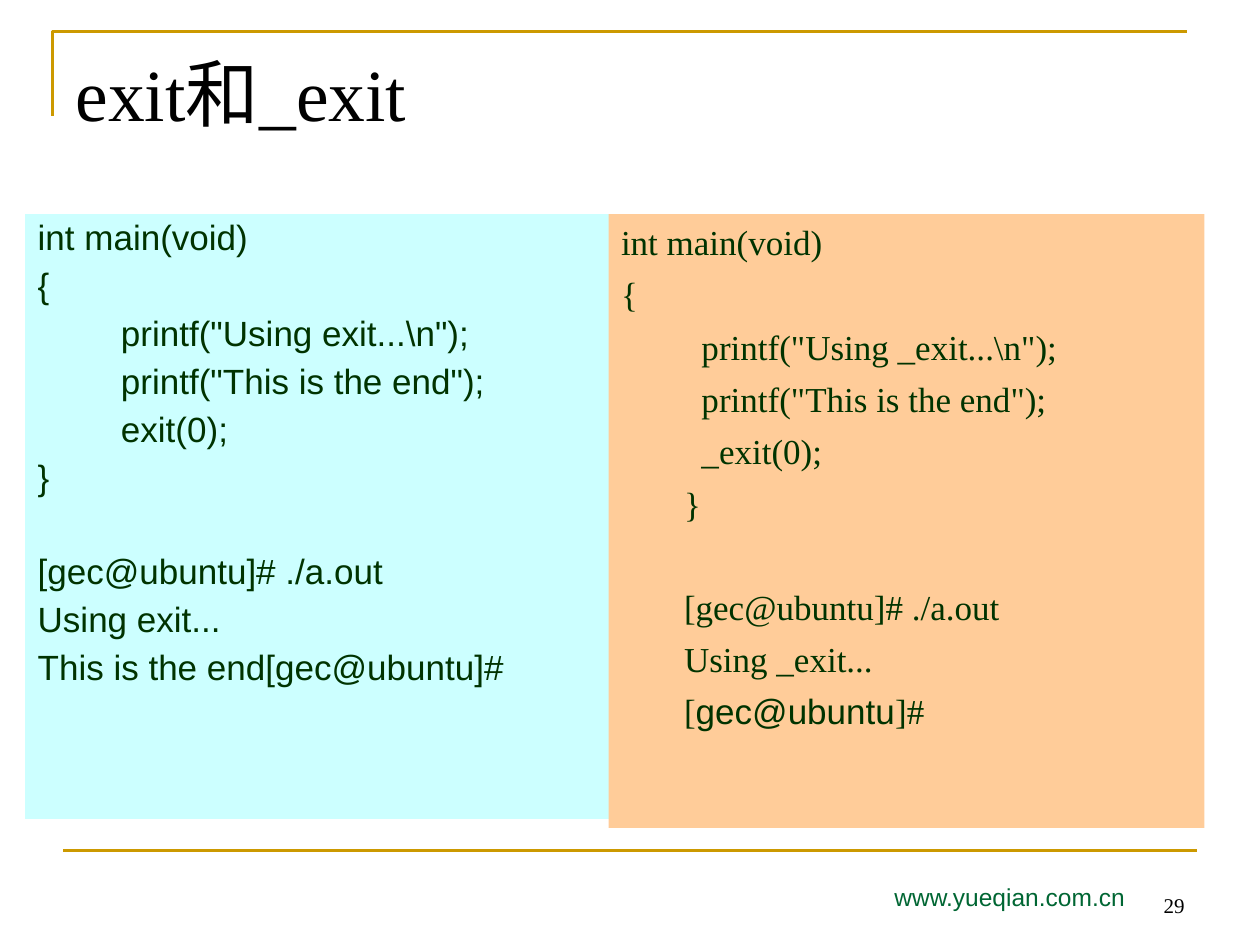
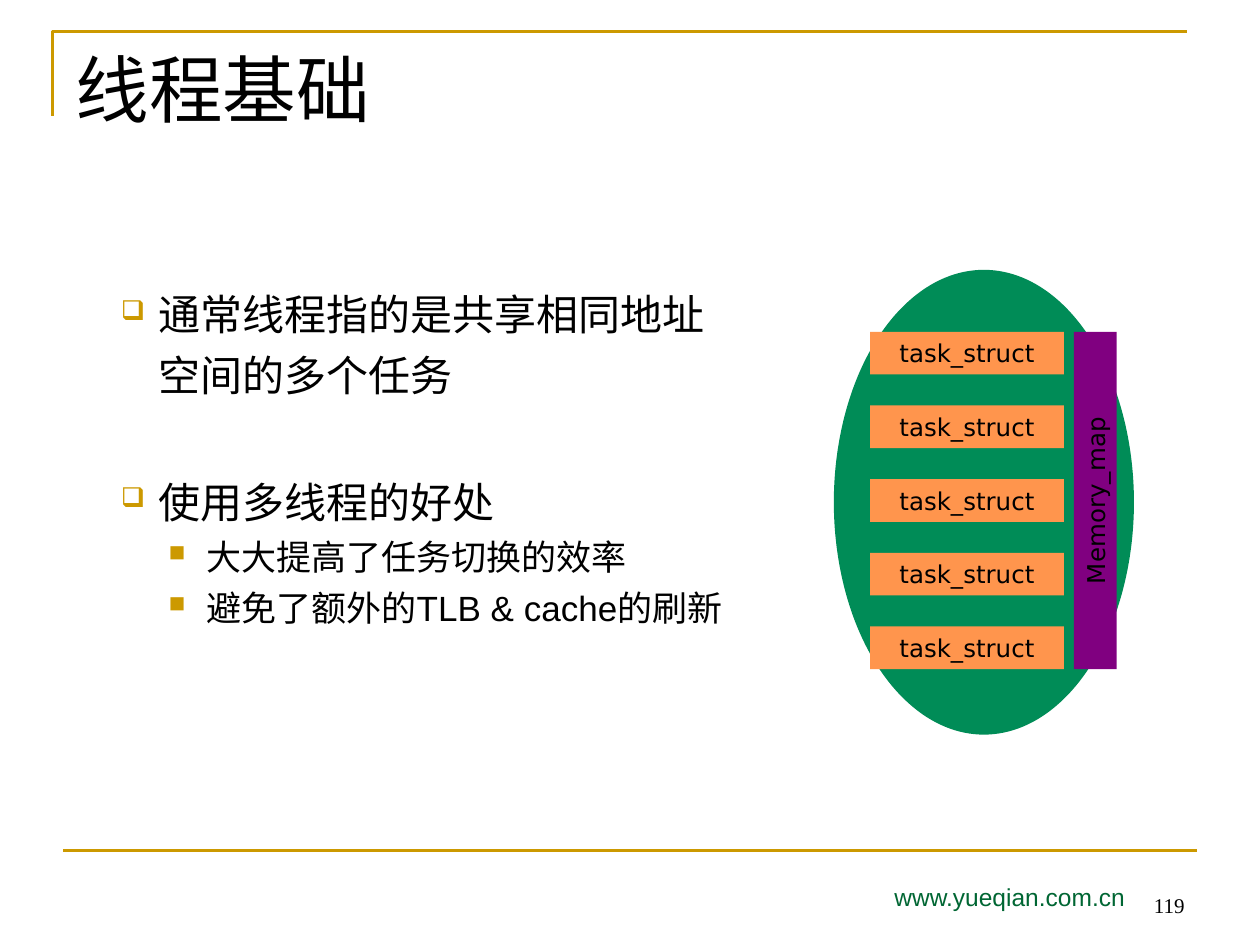
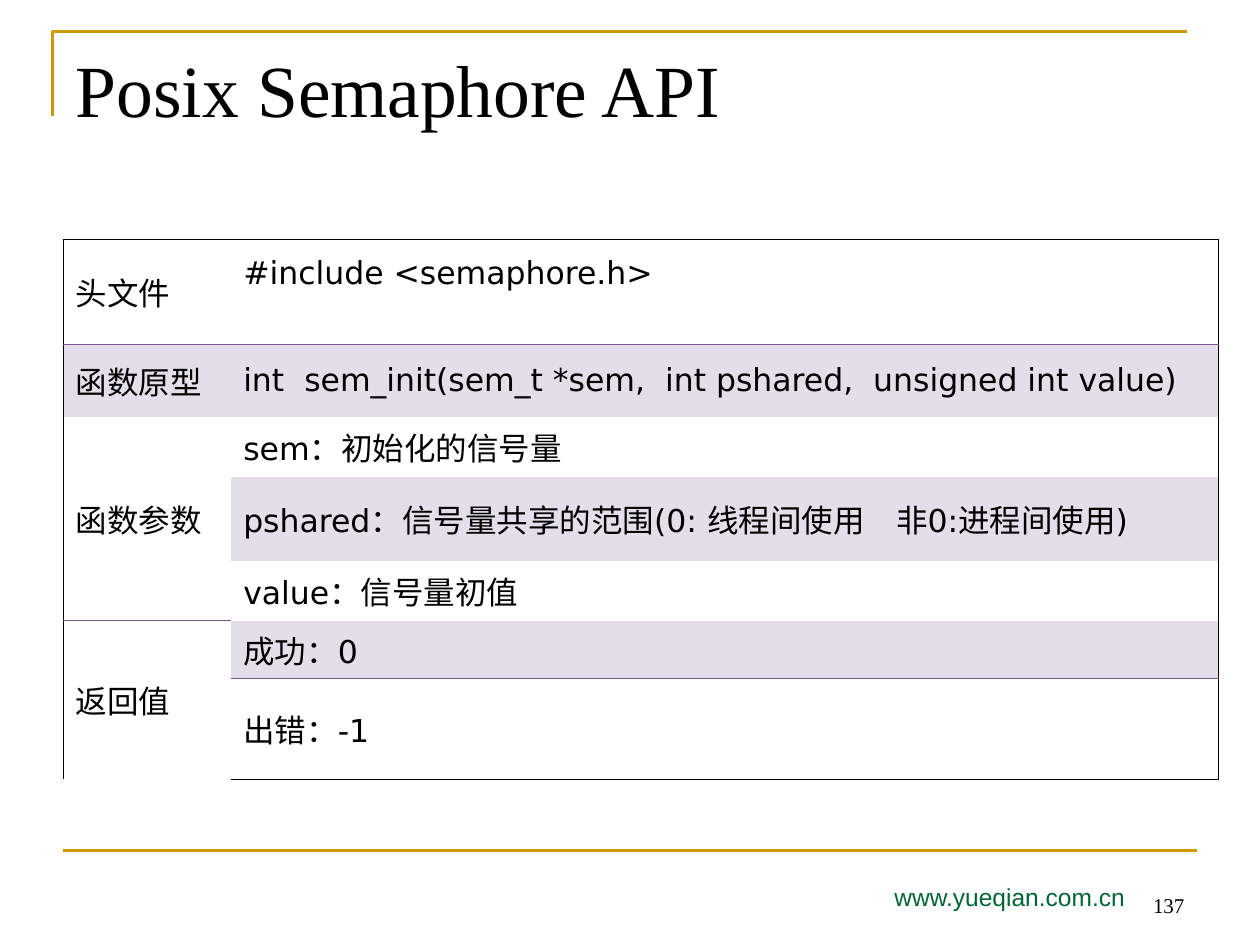
from dataclasses import dataclass

from lxml.etree import SubElement
from pptx import Presentation
from pptx.dml.color import RGBColor
from pptx.enum.shapes import MSO_CONNECTOR, MSO_SHAPE
from pptx.enum.text import MSO_ANCHOR, MSO_AUTO_SIZE, PP_ALIGN
from pptx.oxml.ns import qn
from pptx.util import Cm, Pt

GOLD, GREEN, BLACK, CODE = "CC9900", "006633", "000000", "003300"
CYAN, PEACH = "CCFFFF", "FFCC99"
OVAL, TASK, MEMORY = "008C57", "FF954D", "800080"
PURPLE, LILAC = "755992", "E3DEE9"
SERIF, SANS, WIDE = "Times New Roman", "Arial", "DejaVu Sans"
TITLE_ONLY = 5


@dataclass
class Box:
    """A rectangle in centimetres."""
    left: float
    top: float
    width: float
    height: float

    def lengths(self):
        """Return the four lengths for python-pptx."""
        return Cm(self.left), Cm(self.top), Cm(self.width), Cm(self.height)


@dataclass
class Line:
    """A paragraph: its text, left indent in cm and space before in points."""
    text: str
    indent: float = 0
    before: float = 0
    size: float = 20
    bullet: str = ""


def rgb(color):
    """Turn a hex string into a colour."""
    return RGBColor.from_string(color)


def style_runs(paragraph, size, font, color):
    """Format every run of a paragraph."""
    for run in paragraph.runs:
        run.font.size = Pt(size)
        run.font.name = font
        run.font.color.rgb = rgb(color)


def set_text(shape, text, size, font, color, align=PP_ALIGN.LEFT, anchor=MSO_ANCHOR.TOP):
    """Write one line of text in a shape."""
    frame = shape.text_frame
    frame.word_wrap = True
    frame.auto_size = MSO_AUTO_SIZE.NONE
    frame.vertical_anchor = anchor
    frame.text = text
    frame.paragraphs[0].alignment = align
    style_runs(frame.paragraphs[0], size, font, color)


def set_indent(paragraph, margin, first=0):
    """Set the left margin and first-line indent in centimetres."""
    properties = paragraph._p.get_or_add_pPr()
    properties.set("marL", str(Cm(margin)))
    properties.set("indent", str(Cm(first)))


def add_bullet(paragraph, symbol):
    """Give a paragraph a gold bullet at 65 percent size."""
    properties = paragraph._p.get_or_add_pPr()
    SubElement(SubElement(properties, qn("a:buClr")), qn("a:srgbClr"), val=GOLD)
    SubElement(properties, qn("a:buSzPct"), val="65000")
    SubElement(properties, qn("a:buChar"), char=symbol)


def add_lines(frame, lines, font, color, spacing=None):
    """Write a list of lines as paragraphs."""
    frame.word_wrap = True
    frame.vertical_anchor = MSO_ANCHOR.TOP
    frame.text = "\n".join(line.text for line in lines)
    for paragraph, line in zip(frame.paragraphs, lines):
        set_indent(paragraph, line.indent, -0.76 if line.bullet else 0)
        paragraph.alignment = PP_ALIGN.LEFT
        paragraph.line_spacing = spacing
        if line.before:
            paragraph.space_before = Pt(line.before)
        if line.bullet:
            add_bullet(paragraph, line.bullet)
        style_runs(paragraph, line.size, font, color)


def add_block(shapes, kind, box, fill):
    """Add a plain filled shape."""
    shape = shapes.add_shape(kind, *box.lengths())
    shape.shadow.inherit = False
    shape.fill.solid()
    shape.fill.fore_color.rgb = rgb(fill)
    shape.line.fill.background()
    return shape


def add_frame(slide):
    """Draw the gold corner and the gold rule above the footer."""
    builder = slide.shapes.build_freeform(Cm(1.06), Cm(2.33))
    builder.add_line_segments([(Cm(1.06), Cm(0.63)), (Cm(23.92), Cm(0.63))], close=False)
    corner = builder.convert_to_shape()
    corner.shadow.inherit = False
    corner.fill.background()
    rule = slide.shapes.add_connector(
        MSO_CONNECTOR.STRAIGHT, Cm(1.27), Cm(17.15), Cm(24.13), Cm(17.15))
    SubElement(rule._element.spPr, qn("a:effectLst"))
    for shape in (corner, rule):
        shape.line.color.rgb = rgb(GOLD)
        shape.line.width = Pt(1.5)


def add_footer(slide, number):
    """Write the web address and the page number."""
    address = slide.shapes.add_textbox(*Box(17.78, 17.65, 6.35, 1.02).lengths())
    set_text(address, "www.yueqian.com.cn", 14, SANS, GREEN)
    page = slide.shapes.add_textbox(*Box(18.2, 17.35, 5.93, 1.27).lengths())
    set_text(page, str(number), 12, SERIF, BLACK, PP_ALIGN.RIGHT, MSO_ANCHOR.BOTTOM)


def new_slide(presentation, title, number, box=Box(1.27, 0.76, 22.86, 3.18)):
    """Add a slide with its title, frame and footer."""
    slide = presentation.slides.add_slide(presentation.slide_layouts[TITLE_ONLY])
    add_frame(slide)
    placeholder = slide.shapes.title
    placeholder.left, placeholder.top, placeholder.width, placeholder.height = box.lengths()
    set_text(placeholder, title, 42, SERIF, BLACK)
    add_footer(slide, number)
    return slide


def program(call, indent, lead, tail, gap, before, output):
    """Return the lines of a program that ends with a call, and its output."""
    body = [f'printf("Using {call}...\\n");', 'printf("This is the end");', f"{call}(0);"]
    return [
        Line("int main(void)"),
        Line("{", 0, before),
        *(Line(lead + text, indent, before) for text in body),
        Line("}", tail, before),
        Line("[gec@ubuntu]# ./a.out", tail, gap),
        Line(f"Using {call}...", tail, before),
        Line(output, tail, before),
    ]


def add_code(slide, box, fill, lines, font, spacing=None):
    """Add a coloured panel of code."""
    panel = add_block(slide.shapes, MSO_SHAPE.RECTANGLE, box, fill)
    add_lines(panel.text_frame, lines, font, CODE, spacing)
    return panel


def exit_slide(presentation):
    """Compare exit with _exit."""
    slide = new_slide(presentation, "exit和_exit", 29, Box(1.27, 0.84, 15.67, 0.84))
    left = program("exit", 1.68, "", 0, 32.3, 5.8, "This is the end[gec@ubuntu]#")
    add_code(slide, Box(0.51, 4.32, 11.79, 12.19), CYAN, left, SANS, 0.9)
    right = program("_exit", 1.27, "  ", 1.27, 34.8, 5.9, "[")
    panel = add_code(slide, Box(12.27, 4.32, 12.01, 12.37), PEACH, right, SERIF)
    prompt = panel.text_frame.paragraphs[-1]
    for text in ("gec@ubuntu", "]#"):
        prompt.add_run().text = text
    style_runs(prompt, 20, SERIF, CODE)
    prompt.runs[1].font.name = SANS


def add_process(slide, box):
    """Draw the tasks and the memory map that they share."""
    shapes = slide.shapes.add_group_shape().shapes
    add_block(shapes, MSO_SHAPE.OVAL, box, OVAL)
    width, height, pitch, count = 3.91, 0.86, 1.485, 5
    left, top = box.left + 0.73, box.top + 1.25
    blocks = [("task_struct", TASK, Box(left, top + row * pitch, width, height), 0)
              for row in range(count)]
    length = (count - 1) * pitch + height
    center_x, center_y = left + width + 0.63, top + length / 2
    memory = Box(center_x - length / 2, center_y - height / 2, length, height)
    blocks.append(("Memory_map", MEMORY, memory, 270))
    for text, fill, place, rotation in blocks:
        block = add_block(shapes, MSO_SHAPE.RECTANGLE, place, fill)
        block.rotation = rotation
        set_text(block, text, 14, WIDE, BLACK, PP_ALIGN.CENTER, MSO_ANCHOR.MIDDLE)


def thread_slide(presentation):
    """Explain threads beside a diagram."""
    slide = new_slide(presentation, "线程基础", 119)
    body = slide.shapes.add_textbox(*Box(1.27, 5.69, 15.04, 11.33).lengths())
    lines = [
        Line("通常线程指的是共享相同地址", 1.68, 0, 24, "❑"),
        Line("空间的多个任务", 1.68, 6, 24),
        Line("使用多线程的好处", 1.68, 43.7, 24, "❑"),
        Line("大大提高了任务切换的效率", 2.64, 5, 20, "■"),
        Line("避免了额外的TLB & cache的刷新", 2.64, 5, 20, "■"),
    ]
    add_lines(body.text_frame, lines, SANS, BLACK)
    add_process(slide, Box(16.81, 5.44, 6.05, 9.37))


def set_borders(cell, colors):
    """Draw the sides that have a colour and clear the others."""
    properties = cell._tc.get_or_add_tcPr()
    for side in "LRTB":
        line = SubElement(properties, qn(f"a:ln{side}"), w=str(Pt(0.45)))
        if side in colors:
            fill = SubElement(line, qn("a:solidFill"))
            SubElement(fill, qn("a:srgbClr"), val=colors[side])
        else:
            SubElement(line, qn("a:noFill"))


def border_colors(row, column, last_row, ruled):
    """Choose black for the outside and purple under the ruled cells."""
    colors = {"R": BLACK} if column else {"L": BLACK}
    if row == 0:
        colors["T"] = BLACK
    elif (row - 1, column) in ruled:
        colors["T"] = PURPLE
    if row == last_row:
        colors["B"] = BLACK
    elif (row, column) in ruled:
        colors["B"] = PURPLE
    return colors


def add_api_table(slide, box, rows, heights, widths):
    """Add the table that describes a function."""
    table = slide.shapes.add_table(len(rows), len(widths), *box.lengths()).table
    table.first_row = table.horz_banding = False
    for column, width in zip(table.columns, widths):
        column.width = Cm(width)
    for row, height in zip(table.rows, heights):
        row.height = Cm(height)
    ruled = {(0, 0), (0, 1), (4, 0), (5, 1)}
    for r, texts in enumerate(rows):
        for c, text in enumerate(texts):
            cell = table.cell(r, c)
            set_borders(cell, border_colors(r, c, len(rows) - 1, ruled))
            if r == 1 or (c == 1 and r % 2):
                cell.fill.solid()
                cell.fill.fore_color.rgb = rgb(LILAC)
            else:
                cell.fill.background()
            cell.vertical_anchor = MSO_ANCHOR.MIDDLE
            cell.text = text
            style_runs(cell.text_frame.paragraphs[0], 18, WIDE, BLACK)
    table.cell(0, 1).margin_bottom = Cm(0.87)
    table.cell(2, 0).merge(table.cell(4, 0))
    table.cell(5, 0).merge(table.cell(6, 0))


def semaphore_slide(presentation):
    """Describe sem_init in a table."""
    slide = new_slide(presentation, "Posix Semaphore API", 137)
    rows = [
        ("头文件", "#include <semaphore.h>"),
        ("函数原型", "int  sem_init(sem_t *sem,  int pshared,  unsigned int value)"),
        ("函数参数", "sem：初始化的信号量"),
        ("", "pshared：信号量共享的范围(0: 线程间使用　非0:进程间使用)"),
        ("", "value：信号量初值"),
        ("返回值", "成功：0"),
        ("", "出错：-1"),
    ]
    heights = [2.12, 1.45, 1.21, 1.69, 1.21, 1.17, 2.02]
    add_api_table(slide, Box(1.27, 4.83, 23.3, sum(heights)), rows, heights, [3.38, 19.92])


def main():
    """Build the three slides."""
    presentation = Presentation()
    presentation.slide_width, presentation.slide_height = Cm(25.4), Cm(19.05)
    exit_slide(presentation)
    thread_slide(presentation)
    semaphore_slide(presentation)
    presentation.save("out.pptx")


if __name__ == "__main__":
    main()
